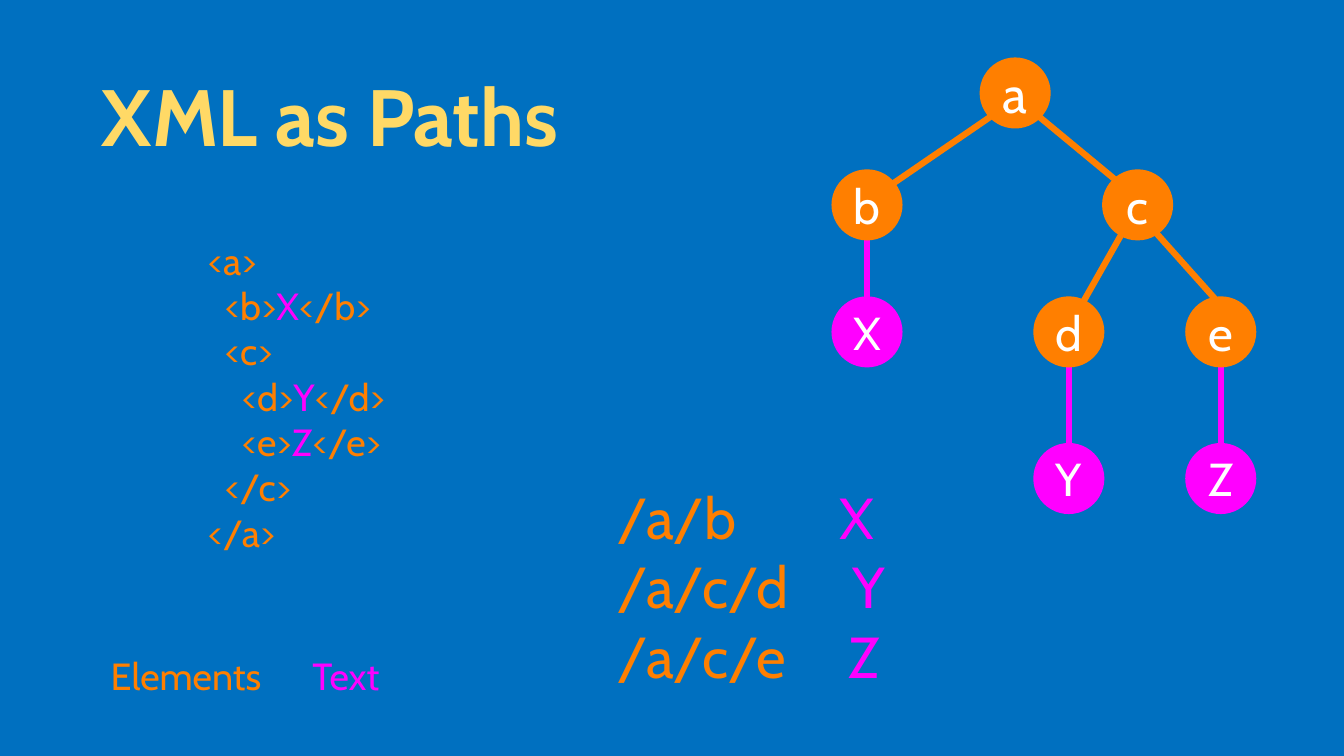
import lxml.etree
import pptx
import pptx.dml.color
import pptx.enum.shapes
import pptx.enum.text
import pptx.oxml.ns
import pptx.util

Inches = pptx.util.Inches
RGBColor = pptx.dml.color.RGBColor

BLUE = RGBColor(0x00, 0x70, 0xC0)
YELLOW = RGBColor(0xFF, 0xD9, 0x66)
ORANGE = RGBColor(0xFF, 0x7F, 0x00)
MAGENTA = RGBColor(0xFF, 0x00, 0xFF)
WHITE = RGBColor(0xFF, 0xFF, 0xFF)
LEFT = pptx.enum.text.PP_ALIGN.LEFT
CENTER = pptx.enum.text.PP_ALIGN.CENTER
NODE_SIZE = 0.94


def write_text(shape, lines, size, align=CENTER, tabs=(), bold=False):
    """Fill a shape with lines, each a list of (text, colour) spans; tabs holds one stop per line."""
    frame = shape.text_frame
    frame.word_wrap = True
    frame.vertical_anchor = pptx.enum.text.MSO_ANCHOR.MIDDLE
    frame.margin_left = frame.margin_right = frame.margin_top = frame.margin_bottom = 0
    for index, spans in enumerate(lines):
        para = frame.add_paragraph() if index else frame.paragraphs[0]
        para.alignment = align
        if tabs:
            properties = para._p.get_or_add_pPr()
            stops = lxml.etree.SubElement(properties, pptx.oxml.ns.qn("a:tabLst"))
            lxml.etree.SubElement(stops, pptx.oxml.ns.qn("a:tab"),
                                  pos=str(Inches(tabs[index])), algn="l")
        para.font.name = "Cabin"
        para.font.size = pptx.util.Pt(size)
        para.font.bold = bold
        for text, color in spans:
            span = para.add_run()
            span.text = text
            span.font.color.rgb = color


def draw_edges(shapes, edges, color):
    for ends in edges:
        edge = shapes.add_connector(pptx.enum.shapes.MSO_CONNECTOR.STRAIGHT,
                                    *[Inches(value) for value in ends])
        edge.line.color.rgb = color
        edge.line.width = pptx.util.Pt(6)
        lxml.etree.SubElement(edge._element.spPr, pptx.oxml.ns.qn("a:effectLst"))


deck = pptx.Presentation()
deck.slide_width = Inches(17.78)
deck.slide_height = Inches(10)
page = deck.slides.add_slide(deck.slide_layouts[6])
page.background.fill.solid()
page.background.fill.fore_color.rgb = BLUE

# Title
title = page.shapes.add_textbox(Inches(1.26), Inches(0.26), Inches(6.21), Inches(2.51))
write_text(title, [[("XML as Paths", YELLOW)]], 76, bold=True)

# XML listing
code_lines = [
    [("<a>", ORANGE)],
    [("  <b>", ORANGE), ("X", MAGENTA), ("</b>", ORANGE)],
    [("  <c>", ORANGE)],
    [("    <d>", ORANGE), ("Y", MAGENTA), ("</d>", ORANGE)],
    [("    <e>", ORANGE), ("Z", MAGENTA), ("</e>", ORANGE)],
    [("  </c>", ORANGE)],
    [("</a>", ORANGE)],
]
code = page.shapes.add_textbox(Inches(2.75), Inches(3.12), Inches(2.7), Inches(4.24))
write_text(code, code_lines, 36, LEFT)

# Tree: text edges lie behind the nodes, element edges in front
tree = page.shapes.add_group_shape().shapes
draw_edges(tree, [(11.47, 3.01, 11.47, 4.14),
                  (14.14, 4.77, 14.14, 5.9),
                  (16.15, 4.77, 16.15, 5.9)], MAGENTA)
nodes = [
    ("a", 12.96, 0.76, ORANGE, 49),
    ("b", 11, 2.24, ORANGE, 46),
    ("c", 14.58, 2.24, ORANGE, 46),
    ("X", 11, 3.92, MAGENTA, 44),
    ("d", 13.67, 3.92, ORANGE, 46),
    ("e", 15.68, 3.92, ORANGE, 46),
    ("Y", 13.67, 5.86, MAGENTA, 44),
    ("Z", 15.68, 5.86, MAGENTA, 44),
]
for label, left, top, color, size in nodes:
    node = tree.add_shape(pptx.enum.shapes.MSO_SHAPE.OVAL, Inches(left), Inches(top),
                          Inches(NODE_SIZE), Inches(NODE_SIZE))
    node.shadow.inherit = False
    node.fill.solid()
    node.fill.fore_color.rgb = color
    node.line.fill.background()
    write_text(node, [[(label, WHITE)]], size)
draw_edges(tree, [(13.27, 1.43, 11.68, 2.52),
                  (13.67, 1.48, 14.83, 2.44),
                  (14.87, 3.04, 14.27, 4.1),
                  (15.24, 3.02, 16.08, 3.96)], ORANGE)

# Paths and the text each one leads to
path_values = [("/a/b", "X"), ("/a/c/d", "Y"), ("/a/c/e", "Z")]
path_lines = [[(steps + "\t", ORANGE), (value, MAGENTA)] for steps, value in path_values]
paths = page.shapes.add_textbox(Inches(8.17), Inches(6.38), Inches(4.77), Inches(2.74))
write_text(paths, path_lines, 55, LEFT, tabs=(2.93, 3.11, 3.05))

# Legend
for name, left, width, color in [("Elements", 1.3, 2.32, ORANGE), ("Text", 4.07, 1.01, MAGENTA)]:
    legend = page.shapes.add_textbox(Inches(left), Inches(8.6), Inches(width), Inches(0.68))
    write_text(legend, [[(name, color)]], 36)

deck.save("out.pptx")
